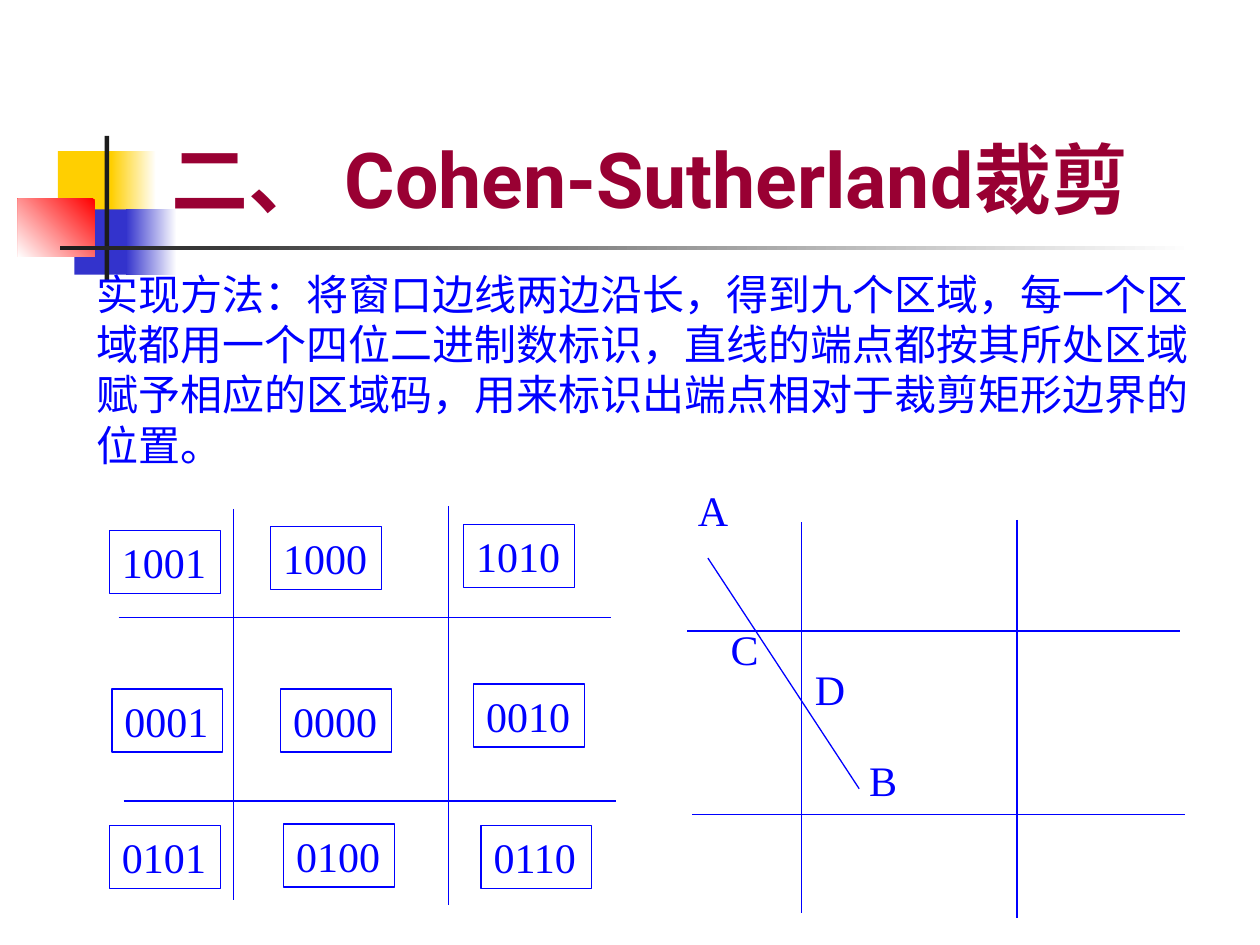
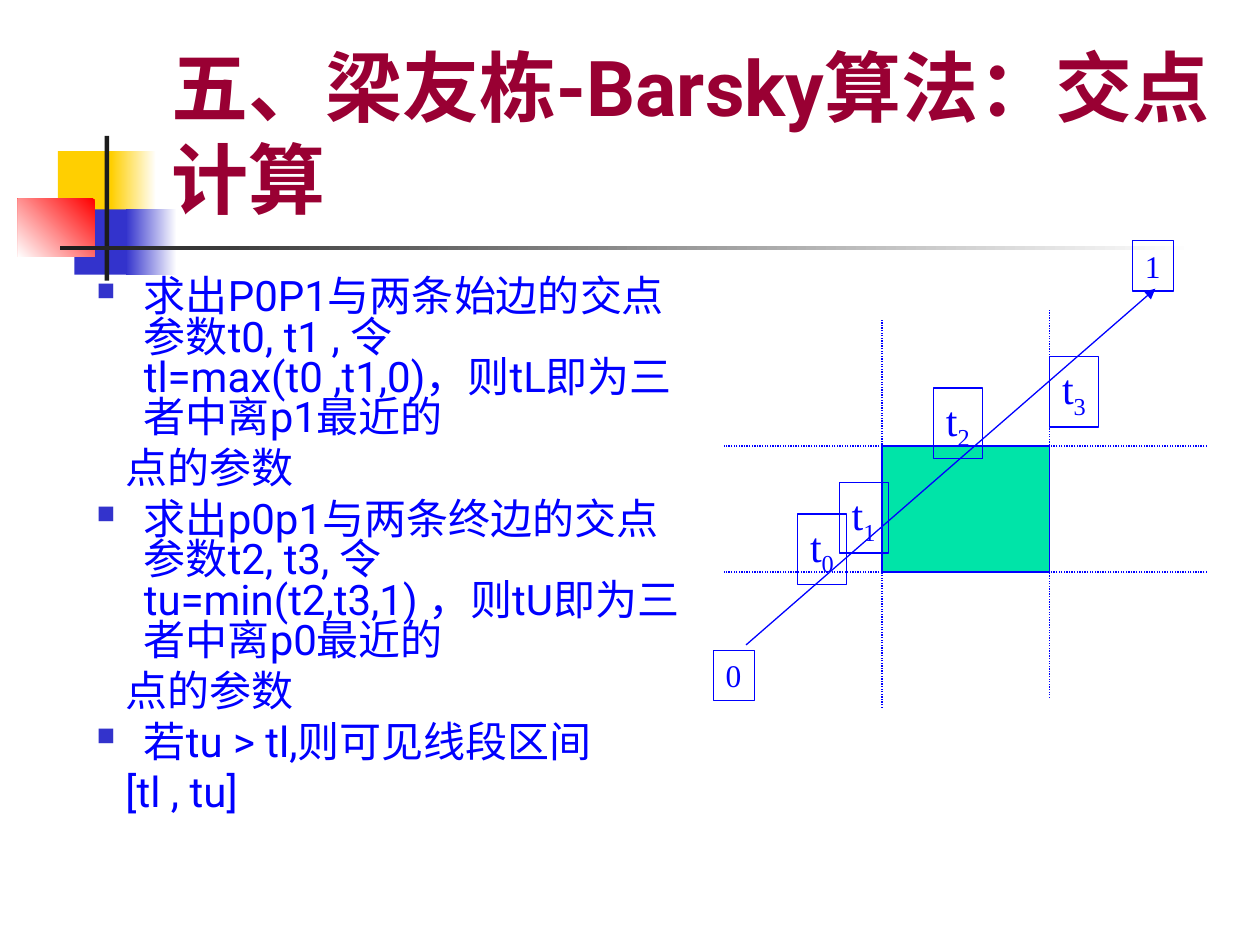
import pptx
import pptx.util
import pptx.dml.color
import pptx.enum.dml
import pptx.enum.lang
import pptx.enum.shapes
import pptx.enum.text
import pptx.oxml
import pptx.oxml.ns

Cm = pptx.util.Cm
Pt = pptx.util.Pt

COLORS = {
    "title": "990033",
    "ink": "0000FF",
    "yellow": "FFCF01",
    "violet": "3333CC",
    "red": "FF0000",
    "bar": "1C1C1C",
    "white": "FFFFFF",
    "window": "00E4A8",
}
SANS = "Roboto"
SERIF = "Times New Roman"

TITLE_AREA = (3.2, 0.58, 21.64, 4.06)
BAND = [
    ((1.17, 3.05, 1.22, 1.32), "yellow"),
    ((2.24, 3.05, 0.91, 1.32), ("white", "yellow", 180)),
    ((1.5, 4.22, 1.17, 1.32), "violet"),
    ((2.54, 4.22, 1.02, 1.32), ("white", "violet", 180)),
    ((0.36, 4.01, 1.55, 1.17), ("red", "white", 225)),
    ((2.11, 2.74, 0.09, 2.92), "bar"),
    ((1.22, 4.95, 22.86, 0.09), ("white", "bar", 180)),
]

COHEN_TITLE = "二、 Cohen-Sutherland裁剪"
COHEN_METHOD = (
    "实现方法：将窗口边线两边沿长，得到九个区域，每一个区域都用一个四位二进制数标识，"
    "直线的端点都按其所处区域赋予相应的区域码，用来标识出端点相对于裁剪矩形边界的位置。"
)
REGION_LINES = [
    (2.39, 12.45, 12.32, 12.45),
    (2.49, 16.15, 12.42, 16.15),
    (4.7, 10.26, 4.7, 18.14),
    (9.04, 10.21, 9.04, 18.24),
]
REGION_OFFSETS = [(0, 0), (11.46, 0.27)]
REGION_CODES = [
    ("1001", 2.21, 10.69), ("1000", 5.46, 10.62), ("1010", 9.35, 10.57),
    ("0001", 2.26, 13.89), ("0000", 5.66, 13.89), ("0010", 9.55, 13.79),
    ("0101", 2.21, 16.64), ("0100", 5.72, 16.61), ("0110", 9.7, 16.64),
]
SEGMENT_AB = (14.27, 11.25, 17.32, 15.9)
SEGMENT_POINTS = [("A", 13.82, 9.65), ("B", 17.27, 15.09),
                  ("C", 14.48, 12.45), ("D", 16.18, 13.26)]

BARSKY_TITLE = "五、梁友栋-Barsky算法：交点计算"
BARSKY_STEPS = [
    ("求出P0P1与两条始边的交点参数t0, t1 , 令tl=max(t0 ,t1,0)，则tL即为三者中离p1最近的",
     "点的参数"),
    ("求出p0p1与两条终边的交点参数t2, t3, 令tu=min(t2,t3,1) ，则tU即为三者中离p0最近的",
     "点的参数"),
    ("若tu > tl,则可见线段区间", "[tl , tu]"),
]
WINDOW = (17.78, 8.99, 3.38, 2.54)
WINDOW_EDGES = [
    (17.78, 14.27, 17.78, 6.43),
    (21.16, 14.07, 21.16, 6.22),
    (24.33, 11.53, 14.6, 11.53),
    (24.33, 8.99, 14.6, 8.99),
]
RAY = (15.04, 13, 23.29, 5.82)
CROSSINGS = [("0", 16.08, 10.36), ("1", 16.92, 9.73),
             ("2", 18.82, 7.82), ("3", 21.16, 7.19)]
RAY_ENDS = [("0", 14.38, 13.11), ("1", 22.83, 4.85)]


def rgb(name):
    return pptx.dml.color.RGBColor.from_string(COLORS[name])


def cms(values):
    return [Cm(value) for value in values]


def add_run(paragraph, text, size, face, color="ink", bold=False, baseline=0):
    run = paragraph.add_run()
    run.text = text
    run.font.size = Pt(size)
    run.font.bold = bold
    run.font.color.rgb = rgb(color)
    run.font.name = face
    properties = run._r.get_or_add_rPr()
    if face == SANS:
        run.font.language_id = pptx.enum.lang.MSO_LANGUAGE_ID.SIMPLIFIED_CHINESE
        east_asian = pptx.oxml.parse_xml(
            f'<a:ea {pptx.oxml.ns.nsdecls("a")} typeface="{face}"/>')
        properties.find(pptx.oxml.ns.qn("a:latin")).addnext(east_asian)
    if baseline:
        properties.set("baseline", str(baseline * 1000))


def add_rect(slide, area, fill, outlined=False):
    rect = slide.shapes.add_shape(
        pptx.enum.shapes.MSO_SHAPE.RECTANGLE, *cms(area))
    rect.shadow.inherit = False
    if isinstance(fill, tuple):
        start, end, angle = fill
        rect.fill.gradient()
        rect.fill.gradient_angle = angle
        for stop, color in zip(rect.fill.gradient_stops, (start, end)):
            stop.color.rgb = rgb(color)
    else:
        rect.fill.solid()
        rect.fill.fore_color.rgb = rgb(fill)
    if outlined:
        rect.line.color.rgb = rgb("ink")
        rect.line.width = Pt(0.75)
    else:
        rect.line.fill.background()


def add_line(slide, ends, dotted=False, arrow=False, offset=(0, 0)):
    dx, dy = offset
    x1, y1, x2, y2 = ends
    line = slide.shapes.add_connector(
        pptx.enum.shapes.MSO_CONNECTOR.STRAIGHT,
        *cms((x1 + dx, y1 + dy, x2 + dx, y2 + dy)))
    line.line.color.rgb = rgb("ink")
    line.line.width = Pt(0.75)
    if dotted:
        line.line.dash_style = pptx.enum.dml.MSO_LINE.ROUND_DOT
    namespace = pptx.oxml.ns.nsdecls("a")
    if arrow:
        line.line._get_or_add_ln().append(
            pptx.oxml.parse_xml(f'<a:tailEnd {namespace} type="triangle"/>'))
    line._element.spPr.append(pptx.oxml.parse_xml(f"<a:effectLst {namespace}/>"))


def add_label(slide, area, text, size=24, subscript="", boxed=True):
    label = slide.shapes.add_textbox(*cms(area))
    label.text_frame.word_wrap = False
    label.text_frame.auto_size = pptx.enum.text.MSO_AUTO_SIZE.SHAPE_TO_FIT_TEXT
    paragraph = label.text_frame.paragraphs[0]
    add_run(paragraph, text, size, SERIF)
    if subscript:
        add_run(paragraph, subscript, size, SERIF, baseline=-25)
    if boxed:
        label.line.color.rgb = rgb("ink")
        label.line.width = Pt(0.75)


def add_body(slide, area):
    body = slide.shapes.add_textbox(*cms(area)).text_frame
    body.word_wrap = True
    return body


def indent(paragraph, left, bulleted):
    properties = paragraph._p.get_or_add_pPr()
    properties.set("marL", str(Cm(left)))
    properties.set("indent", str(-Cm(left) if bulleted else 0))
    if bulleted:
        for element in (
            f'<a:buClr {{}}><a:srgbClr val="{COLORS["violet"]}"/></a:buClr>',
            '<a:buSzPct {} val="60000"/>',
            '<a:buChar {} char="■"/>',
        ):
            properties.append(pptx.oxml.parse_xml(
                element.format(pptx.oxml.ns.nsdecls("a"))))


def start_slide(deck, heading):
    slide = deck.slides.add_slide(deck.slide_layouts[5])
    for area, fill in BAND:
        add_rect(slide, area, fill)
    title = slide.shapes.title
    title.left, title.top, title.width, title.height = cms(TITLE_AREA)
    frame = title.text_frame
    frame.word_wrap = True
    frame.auto_size = pptx.enum.text.MSO_AUTO_SIZE.NONE
    frame.vertical_anchor = pptx.enum.text.MSO_ANCHOR.BOTTOM
    paragraph = frame.paragraphs[0]
    paragraph.alignment = pptx.enum.text.PP_ALIGN.LEFT
    add_run(paragraph, heading, 44, SANS, "title", bold=True)
    return slide


def build_cohen(deck):
    slide = start_slide(deck, COHEN_TITLE)
    method = add_body(slide, (1.7, 5.28, 22.99, 4.45))
    add_run(method.paragraphs[0], COHEN_METHOD, 24, SANS)
    for offset in REGION_OFFSETS:
        for ends in REGION_LINES:
            add_line(slide, ends, offset=offset)
    for code, x, y in REGION_CODES:
        add_label(slide, (x, y, 2.23, 1.27), code)
    add_line(slide, SEGMENT_AB)
    for point, x, y in SEGMENT_POINTS:
        add_label(slide, (x, y, 1.15, 1.27), point, boxed=False)


def build_barsky(deck):
    slide = start_slide(deck, BARSKY_TITLE)
    steps = add_body(slide, (1.7, 5.51, 12.45, 11.43))
    lines = [(text, text is step[0]) for step in BARSKY_STEPS for text in step]
    for number, (text, bulleted) in enumerate(lines):
        paragraph = steps.add_paragraph() if number else steps.paragraphs[0]
        indent(paragraph, 0.95 if bulleted else 0.58, bulleted)
        paragraph.line_spacing = 0.8
        if number:
            paragraph.space_before = Pt(6)
        add_run(paragraph, text, 24, SANS)
    add_rect(slide, WINDOW, "window", outlined=True)
    for ends in WINDOW_EDGES:
        add_line(slide, ends, dotted=True)
    add_line(slide, RAY, arrow=True)
    for subscript, x, y in CROSSINGS:
        add_label(slide, (x, y, 0.99, 1.42), "t", subscript=subscript)
    for value, x, y in RAY_ENDS:
        add_label(slide, (x, y, 0.83, 1.02), value, size=18)


def main():
    deck = pptx.Presentation()
    deck.slide_width, deck.slide_height = Cm(25.4), Cm(19.05)
    build_cohen(deck)
    build_barsky(deck)
    deck.save("out.pptx")


if __name__ == "__main__":
    main()
